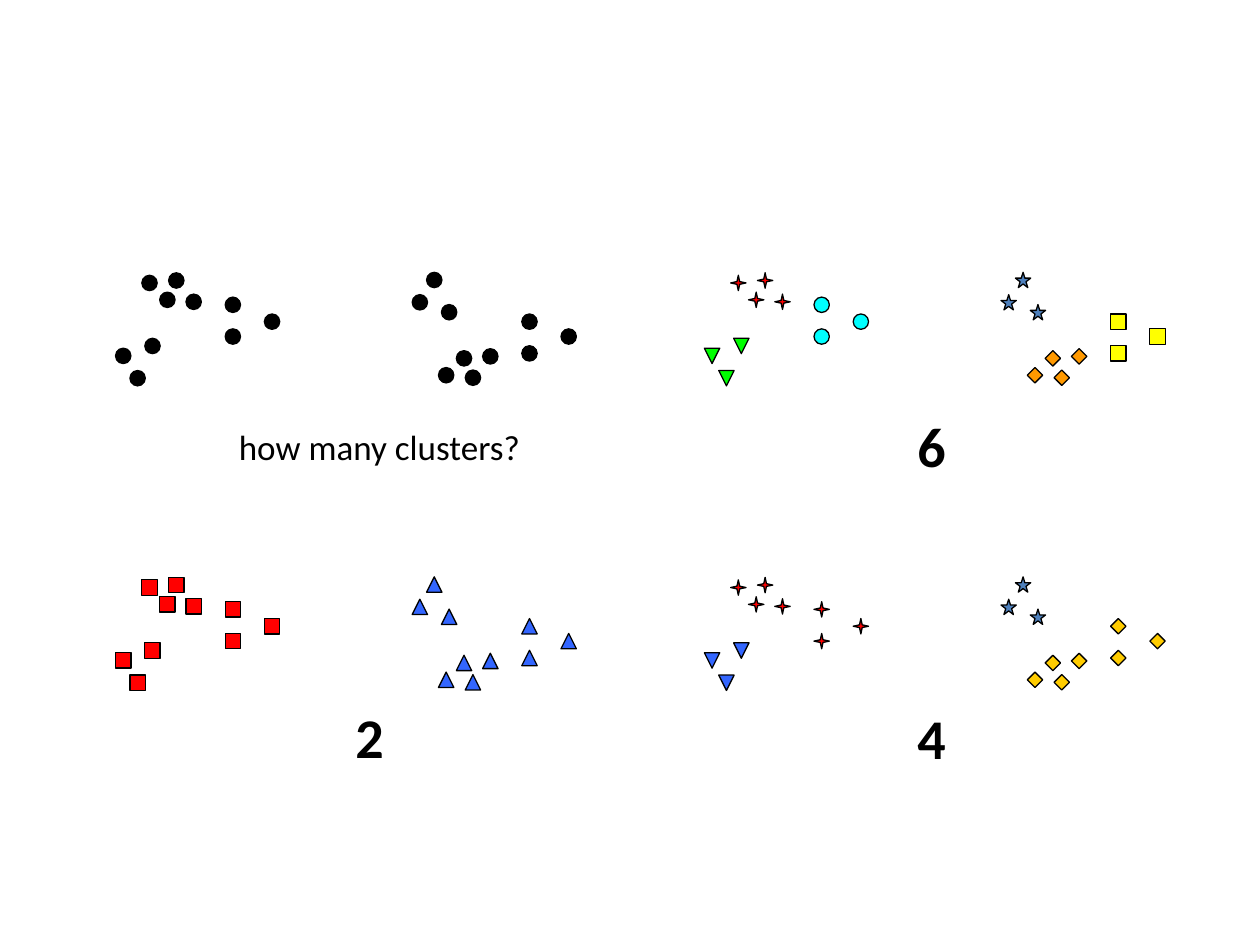
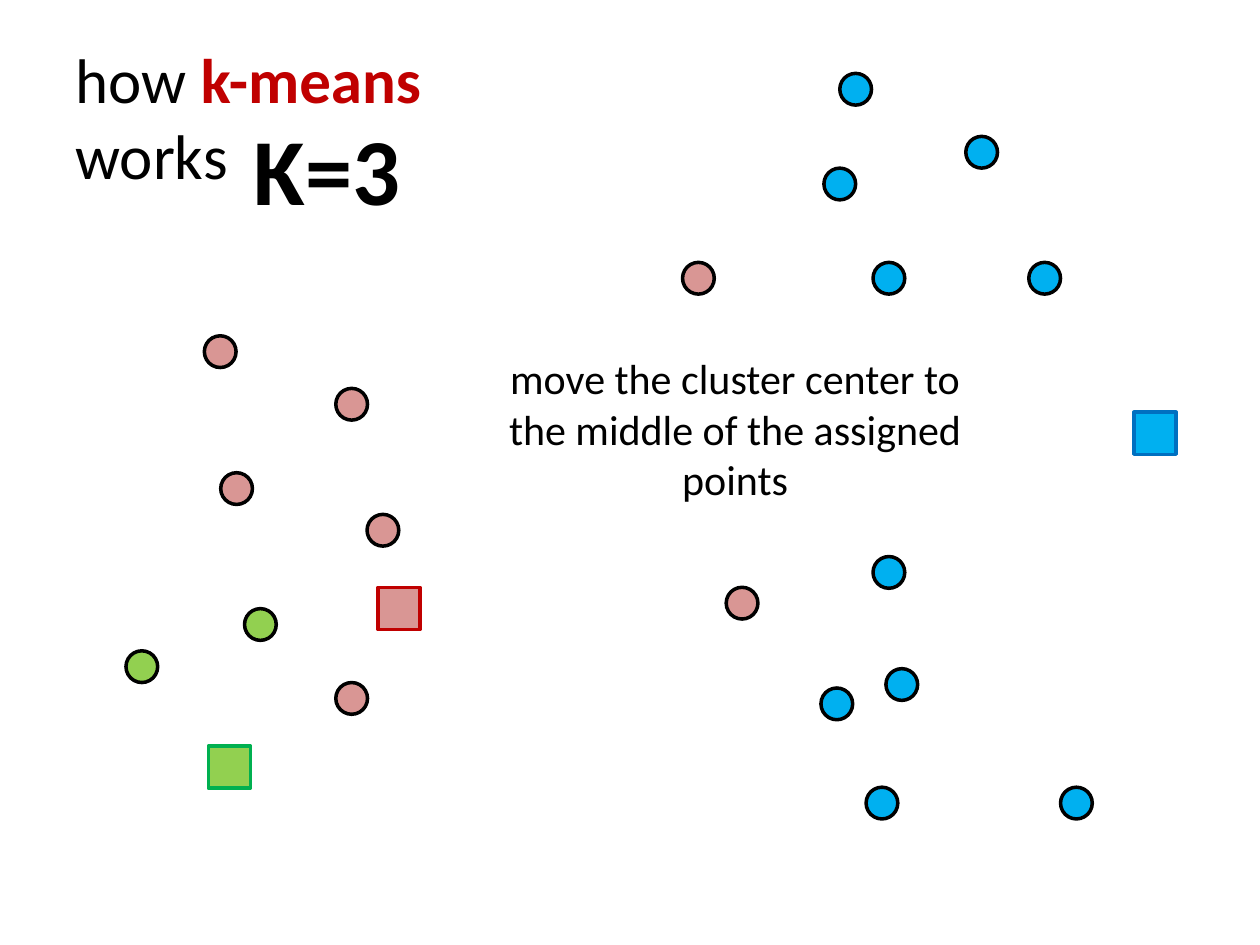
from dataclasses import dataclass
from typing import NamedTuple

from pptx import Presentation
from pptx.dml.color import RGBColor
from pptx.enum.shapes import MSO_SHAPE
from pptx.enum.text import MSO_ANCHOR, PP_ALIGN
from pptx.shapes.autoshape import Shape
from pptx.slide import Slide
from pptx.text.text import Font
from pptx.util import Cm, Pt


@dataclass(frozen=True)
class Theme:
    """Colours, font and type sizes used on both slides."""
    font: str = "Calibri"
    ink: str = "000000"
    accent: str = "C00000"
    title: int = 36
    formula: int = 54
    count: int = 32
    step: int = 24
    question: int = 20
    thin: float = 0.75
    thick: float = 2


class Point(NamedTuple):
    """A position in centimetres."""
    x: float
    y: float


class Box(NamedTuple):
    """A rectangle in centimetres."""
    left: float
    top: float
    width: float
    height: float


class Marker(NamedTuple):
    """The look of the points in one cluster."""
    preset: MSO_SHAPE
    fill: str


class Panel(NamedTuple):
    """One reading of the data: six group markers, left half then right half."""
    column: int
    row: int
    markers: tuple[Marker, ...]


class Cluster(NamedTuple):
    """A k-means cluster with its centre and assigned points."""
    fill: str
    outline: str
    centre: Point
    points: tuple[Point, ...]


THEME = Theme()

# Three groups of the left half; the right half is the same set upside down.
GROUPS = (
    (Point(1.42, 0.43), Point(0.53, 0.05), Point(1.07, 0), Point(0.89, 0.39)),
    (Point(0.59, 1.32), Point(0, 1.52), Point(0.29, 1.97)),
    (Point(2.21, 0.49), Point(3, 0.83), Point(2.21, 1.13)),
)
GROUP_HEIGHT = 1.96
HALF_SHIFT = 5.98
PANEL_ORIGIN = Point(2.33, 5.5)
PANEL_STEP = Point(11.87, 6.14)
MARKER_SIZE = 0.31

BLACK_DOT = Marker(MSO_SHAPE.OVAL, "000000")
RED_SQUARE = Marker(MSO_SHAPE.RECTANGLE, "FF0000")
BLUE_TRIANGLE = Marker(MSO_SHAPE.ISOSCELES_TRIANGLE, "3366FF")
RED_STAR = Marker(MSO_SHAPE.STAR_4_POINT, "FF0000")
BLUE_STAR = Marker(MSO_SHAPE.STAR_5_POINT, "4F81BD")
BLUE_WEDGE = Marker(MSO_SHAPE.FLOWCHART_MERGE, "3366FF")
GREEN_WEDGE = Marker(MSO_SHAPE.FLOWCHART_MERGE, "00FF00")
CYAN_DOT = Marker(MSO_SHAPE.OVAL, "00FFFF")
GOLD_DIAMOND = Marker(MSO_SHAPE.DIAMOND, "FFCC00")
ORANGE_DIAMOND = Marker(MSO_SHAPE.DIAMOND, "FF9900")
YELLOW_SQUARE = Marker(MSO_SHAPE.RECTANGLE, "FFFF00")

PANELS = (
    Panel(0, 0, (BLACK_DOT,) * 6),
    Panel(1, 0, (RED_STAR, GREEN_WEDGE, CYAN_DOT,
                 ORANGE_DIAMOND, BLUE_STAR, YELLOW_SQUARE)),
    Panel(0, 1, (RED_SQUARE,) * 3 + (BLUE_TRIANGLE,) * 3),
    Panel(1, 1, (RED_STAR, BLUE_WEDGE, RED_STAR,
                 GOLD_DIAMOND, BLUE_STAR, GOLD_DIAMOND)),
)
COUNTS = (("6", Point(17.98, 8.18)), ("2", Point(6.65, 14.05)),
          ("4", Point(17.98, 14.07)))
COUNT_SIZE = 1.6

POINT_SIZE = 0.64
CENTRE_SIZE = 0.85
CLUSTERS = (
    Cluster("92D050", "00B050", Point(4.2, 15.04),
            (Point(4.93, 12.27), Point(2.54, 13.12))),
    Cluster("00B0F0", "0070C0", Point(22.86, 8.31),
            (Point(19.47, 2.75), Point(20.74, 5.29), Point(16.93, 1.48),
             Point(17.6, 5.29), Point(16.61, 3.39), Point(17.6, 11.22),
             Point(21.38, 15.87), Point(17.46, 15.87), Point(17.86, 13.48),
             Point(16.55, 13.87))),
    Cluster("D99694", "C00000", Point(7.62, 11.84),
            (Point(4.45, 9.53), Point(6.77, 7.83), Point(7.4, 10.37),
             Point(6.77, 13.76), Point(4.12, 6.77), Point(13.76, 5.29),
             Point(14.64, 11.84))),
)


def add_mark(slide: Slide, marker: Marker, at: Point, size: float,
             outline: str, weight: float) -> None:
    """Draw one filled and outlined square-bounded marker."""
    shape = slide.shapes.add_shape(marker.preset, Cm(at.x), Cm(at.y), Cm(size), Cm(size))
    shape.shadow.inherit = False
    shape.fill.solid()
    shape.fill.fore_color.rgb = RGBColor.from_string(marker.fill)
    shape.line.color.rgb = RGBColor.from_string(outline)
    shape.line.width = Pt(weight)


def style_font(font: Font, size: int, bold: bool = False, color: str = THEME.ink) -> None:
    """Apply the deck font with a size, weight and colour."""
    font.name = THEME.font
    font.size = Pt(size)
    font.bold = bold
    font.color.rgb = RGBColor.from_string(color)


def write_text(shape: Shape, text: str, size: int, align: PP_ALIGN,
               bold: bool = False, wrap: bool = True) -> None:
    """Put one styled paragraph into a shape."""
    text_frame = shape.text_frame
    text_frame.word_wrap = wrap
    text_frame.text = text
    paragraph = text_frame.paragraphs[0]
    paragraph.alignment = align
    style_font(paragraph.runs[0].font, size, bold)


def add_box(slide: Slide, box: Box) -> Shape:
    """Add an empty text box."""
    return slide.shapes.add_textbox(*(Cm(length) for length in box))


def add_count(slide: Slide, text: str, at: Point) -> None:
    """Add a bold cluster count in an unfilled rounded box."""
    shape = slide.shapes.add_shape(MSO_SHAPE.ROUNDED_RECTANGLE, Cm(at.x), Cm(at.y),
                                   Cm(COUNT_SIZE), Cm(COUNT_SIZE))
    shape.shadow.inherit = False
    shape.fill.background()
    shape.line.fill.background()
    shape.text_frame.vertical_anchor = MSO_ANCHOR.MIDDLE
    write_text(shape, text, THEME.count, PP_ALIGN.CENTER, bold=True)


def add_panel(slide: Slide, panel: Panel) -> None:
    """Draw the twenty data points of one panel, the right half mirrored."""
    left = PANEL_ORIGIN.x + panel.column * PANEL_STEP.x
    top = PANEL_ORIGIN.y + panel.row * PANEL_STEP.y
    for index, marker in enumerate(panel.markers):
        mirrored = index >= len(GROUPS)
        for point in GROUPS[index % len(GROUPS)]:
            x = point.x + HALF_SHIFT if mirrored else point.x
            y = GROUP_HEIGHT - point.y if mirrored else point.y
            add_mark(slide, marker, Point(left + x, top + y), MARKER_SIZE,
                     THEME.ink, THEME.thin)


def add_title(slide: Slide) -> None:
    """Add the two-line title with its highlighted term."""
    text_frame = add_box(slide, Box(1.27, 0.76, 22.86, 3.18)).text_frame
    text_frame.word_wrap = True
    text_frame.vertical_anchor = MSO_ANCHOR.MIDDLE
    paragraph = text_frame.paragraphs[0]
    for text, bold, color in (("how ", False, THEME.ink),
                              ("k-means ", True, THEME.accent),
                              ("works", False, THEME.ink)):
        if text == "works":
            paragraph.add_line_break()
        run = paragraph.add_run()
        run.text = text
        style_font(run.font, THEME.title, bold, color)


def build_ambiguity_slide(slide: Slide) -> None:
    """Show the same points read as two, four or six clusters."""
    for panel in PANELS:
        add_panel(slide, panel)
    write_text(add_box(slide, Box(4.5, 8.46, 6.3, 1.11)), "how many clusters?",
               THEME.question, PP_ALIGN.CENTER, wrap=False)
    for text, at in COUNTS:
        add_count(slide, text, at)


def build_k_means_slide(slide: Slide) -> None:
    """Show the step that moves each cluster centre."""
    add_title(slide)
    for cluster in CLUSTERS:
        for point in cluster.points:
            add_mark(slide, Marker(MSO_SHAPE.OVAL, cluster.fill), point, POINT_SIZE,
                     THEME.ink, THEME.thick)
        add_mark(slide, Marker(MSO_SHAPE.RECTANGLE, cluster.fill), cluster.centre,
                 CENTRE_SIZE, cluster.outline, THEME.thick)
    write_text(add_box(slide, Box(4.87, 2.12, 9.37, 2.56)), "K=3",
               THEME.formula, PP_ALIGN.LEFT, bold=True)
    write_text(add_box(slide, Box(9.95, 6.99, 9.74, 3.33)),
               "move the cluster center to the middle of the assigned points",
               THEME.step, PP_ALIGN.CENTER)


def main() -> None:
    """Build and save the presentation."""
    presentation = Presentation()
    presentation.slide_width, presentation.slide_height = Cm(25.4), Cm(19.05)
    blank = presentation.slide_layouts[6]
    for build in (build_ambiguity_slide, build_k_means_slide):
        build(presentation.slides.add_slide(blank))
    presentation.save("out.pptx")


main()
